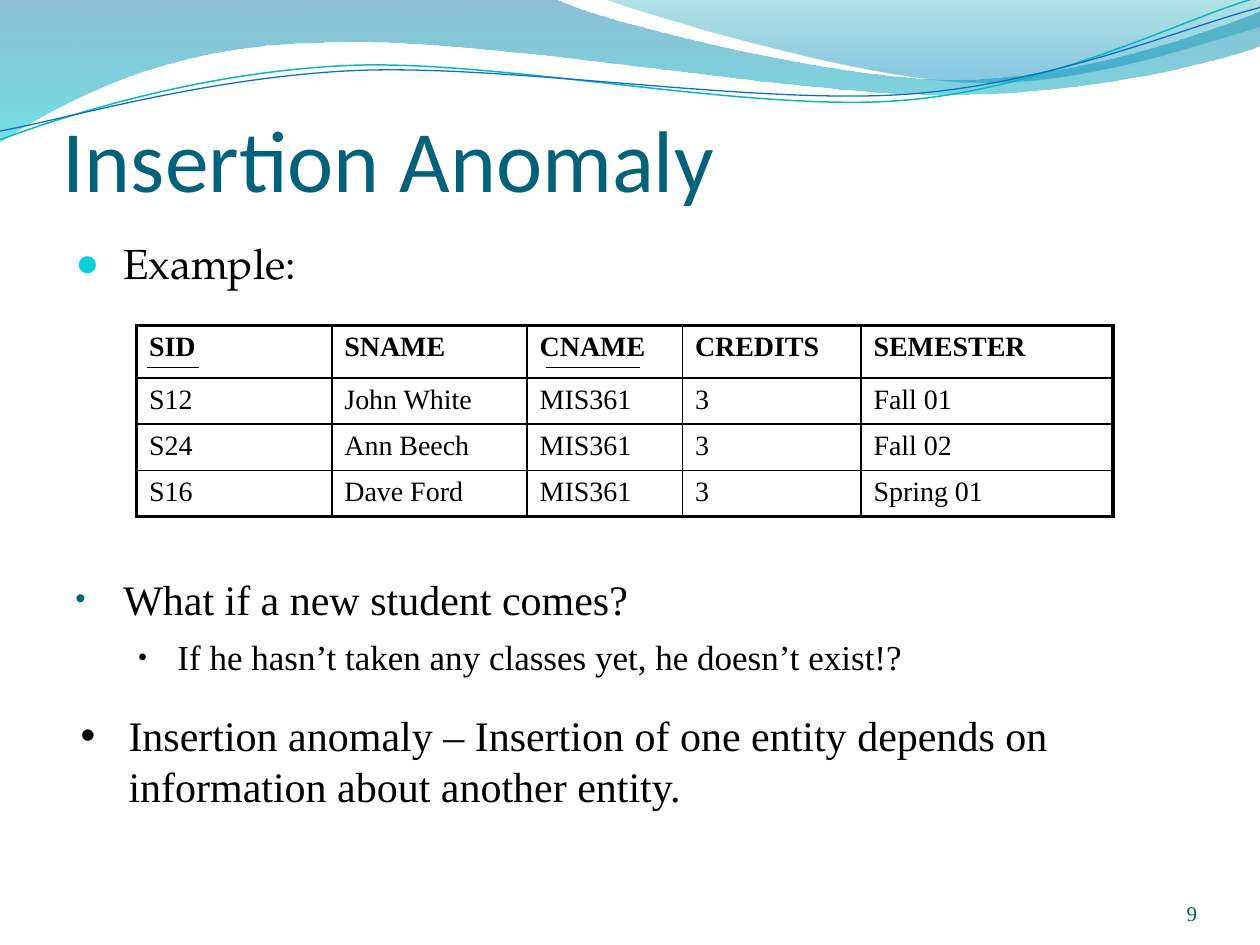
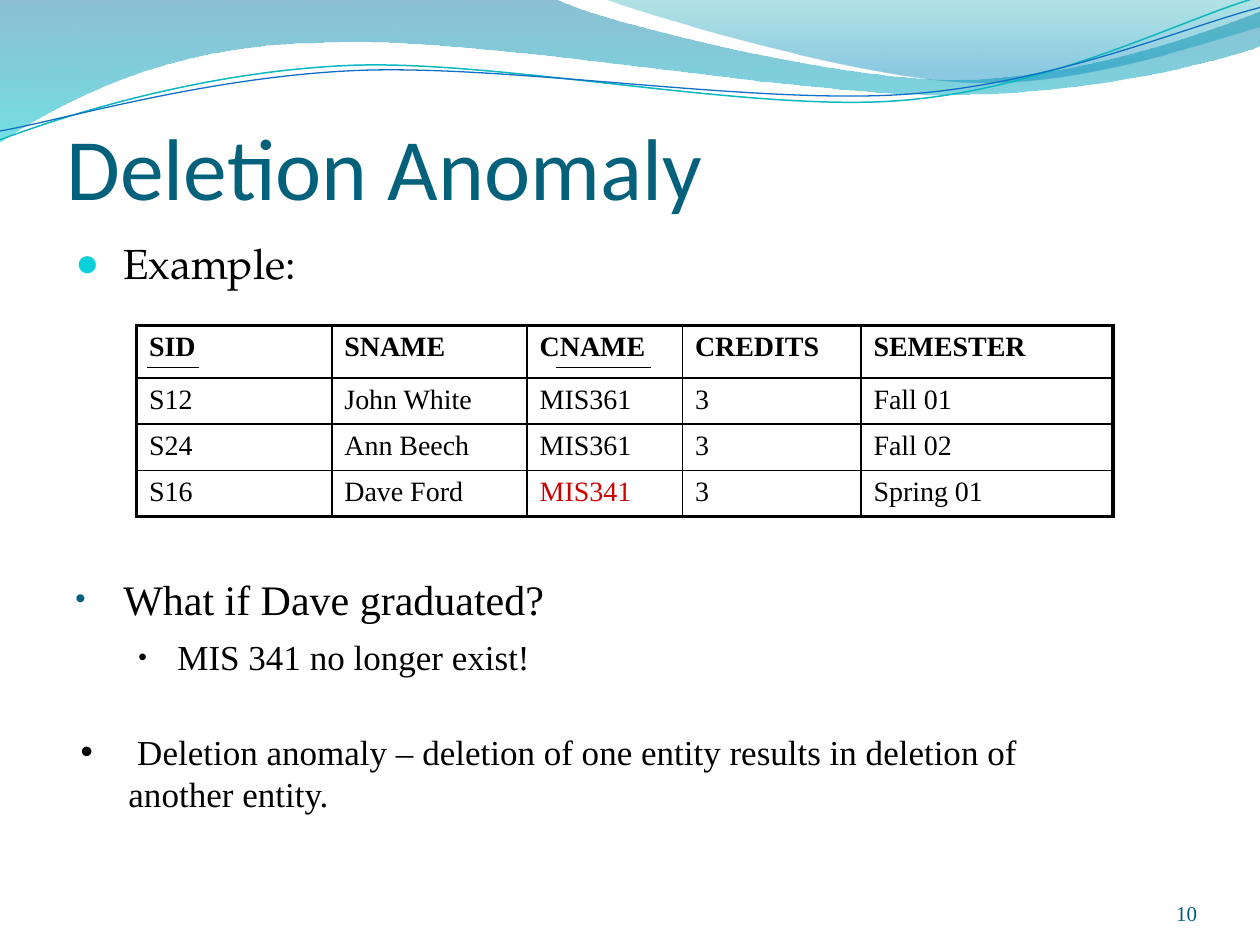
from dataclasses import dataclass

from lxml.etree import SubElement
from pptx import Presentation
from pptx.dml.color import RGBColor
from pptx.enum.shapes import MSO_CONNECTOR
from pptx.enum.text import MSO_ANCHOR, PP_ALIGN
from pptx.oxml.ns import qn
from pptx.util import Inches, Pt


@dataclass(frozen=True)
class Theme:
    title_font: str = "Calibri"
    example_font: str = "TeX Gyre Pagella"
    text_font: str = "Times New Roman"
    title_size: int = 50
    body_size: int = 24
    detail_size: int = 20
    table_size: int = 16
    number_size: int = 12
    ink: str = "000000"
    title: str = "04617B"
    number: str = "045C75"
    example_bullet: str = "0BD0D9"
    highlight: str = "CC0000"
    outer_border: float = 2.25
    inner_border: float = 1
    thin_line: float = 0.75


THEME = Theme()
SLIDE_WIDTH, SLIDE_HEIGHT = Inches(10), Inches(7.5)
CELL = SLIDE_WIDTH // 120
WAVE_COLUMN = SLIDE_WIDTH // 10
WAVE_STEPS = 1000

WIDE_WAVE = [
    (0, -0.01), (4.4, -0.01),
    (4.76, 0.17, 6.64, 0.63, 7.58, 0.63),
    (8.53, 0.63, 9.58, 0.26, 10, 0.09),
    (10.01, 0.36),
    (9.83, 0.44, 8.7, 0.76, 7.46, 0.75),
    (6.22, 0.75, 3.82, 0.28, 2.57, 0.34),
    (1.29, 0.35, 0.46, 0.83, -0.01, 1.13),
    (0, -0.01),
]
RIGHT_WAVE = [
    (4.79, -0.01),
    (5.09, 0.11, 6.82, 0.62, 7.69, 0.65),
    (8.56, 0.69, 9.61, 0.32, 10, 0.21),
    (10, 0), (4.79, -0.01),
]
TEAL_STRAND = [
    (0, 1.11),
    (0.48, 0.93, 1.58, 0.57, 2.77, 0.52),
    (3.95, 0.47, 5.93, 0.89, 7.13, 0.8),
    (8.33, 0.71, 9.38, 0.15, 9.98, -0.02),
]
BLUE_STRAND = [
    (0, 1.04),
    (0.47, 0.96, 1.64, 0.61, 2.83, 0.56),
    (4.03, 0.51, 5.97, 0.83, 7.17, 0.75),
    (8.36, 0.67, 9.41, 0.21, 10, 0.06),
]

TABLE_COLUMNS = [18.6, 18.6, 14.8, 17, 24]
TABLE_ROWS = [5, 4.4, 4.4, 4.4]
ENROLLMENTS = [
    ["SID", "SNAME", "CNAME", "CREDITS", "SEMESTER"],
    ["S12", "John White", "MIS361", "3", "Fall 01"],
    ["S24", "Ann Beech", "MIS361", "3", "Fall 02"],
    ["S16", "Dave Ford", "MIS361", "3", "Spring 01"],
]


def cells(count):
    return round(count * CELL)


def rgb(color):
    return RGBColor.from_string(color)


def bend_segments(shape, segments):
    lines = iter(list(shape.element.iter(qn("a:lnTo"))))
    for segment in segments:
        group = [next(lines) for _ in range(len(segment) // 2)]
        if len(group) == 3:
            outline = group[0].getparent()
            curve = SubElement(outline, qn("a:cubicBezTo"))
            group[0].addprevious(curve)
            for line in group:
                curve.append(line[0])
                outline.remove(line)


def add_outline(page, outline, close):
    points = [(segment[i] * WAVE_STEPS, segment[i + 1] * WAVE_STEPS)
              for segment in outline for i in range(0, len(segment), 2)]
    builder = page.shapes.build_freeform(*points[0], scale=WAVE_COLUMN / WAVE_STEPS)
    builder.add_line_segments(points[1:], close=close)
    shape = builder.convert_to_shape()
    bend_segments(shape, outline[1:])
    shape.shadow.inherit = False
    return shape


def add_wave(page, outline, stops):
    shape = add_outline(page, outline, True)
    shape.line.fill.background()
    shape.fill.gradient()
    shape.fill.gradient_angle = 270
    for stop, (position, color, _) in zip(shape.fill.gradient_stops, stops):
        stop.position = position
        stop.color.rgb = rgb(color)
    for element, (_, _, opacity) in zip(shape.element.iter(qn("a:srgbClr")), stops):
        SubElement(element, qn("a:alpha"), val=str(opacity * 1000))


def add_strand(page, outline, color, width):
    shape = add_outline(page, outline, False)
    shape.fill.background()
    shape.line.color.rgb = rgb(color)
    shape.line.width = Pt(width)


def add_bullet(para, symbol, margin, hanging, color, percent):
    properties = para._p.get_or_add_pPr()
    properties.set("marL", str(Inches(margin)))
    properties.set("indent", str(-Inches(hanging)))
    if color:
        holder = SubElement(properties, qn("a:buClr"))
        SubElement(holder, qn("a:srgbClr"), val=color)
    SubElement(properties, qn("a:buSzPct"), val=str(percent * 1000))
    SubElement(properties, qn("a:buFont"), typeface="Arial")
    SubElement(properties, qn("a:buChar"), char=symbol)


def write(para, text, *, size, font=THEME.text_font, color=THEME.ink, bold=False,
          align=PP_ALIGN.LEFT, before=0, symbol=None, margin=0.38, hanging=0.38,
          bullet_color=None, bullet_percent=100):
    para.alignment = align
    if before:
        para.space_before = Pt(before)
    if symbol:
        add_bullet(para, symbol, margin, hanging, bullet_color, bullet_percent)
    span = para.add_run()
    span.text = text
    span.font.size = Pt(size)
    span.font.name = font
    span.font.bold = bold
    span.font.color.rgb = rgb(color)


def add_box(page, left, top, width, height, insets=(0.1, 0.05, 0.1, 0.05),
            anchor=MSO_ANCHOR.TOP):
    box = page.shapes.add_textbox(*map(cells, (left, top, width, height)))
    frame = box.text_frame
    frame.word_wrap = True
    frame.vertical_anchor = anchor
    (frame.margin_left, frame.margin_top,
     frame.margin_right, frame.margin_bottom) = map(Inches, insets)
    return frame


def add_title(page, text, left, top, height):
    frame = add_box(page, left, top, 108, height, (0, 0.05, 0, 0), MSO_ANCHOR.BOTTOM)
    write(frame.paragraphs[0], text, size=THEME.title_size,
          font=THEME.title_font, color=THEME.title)


def add_example_label(page, height):
    frame = add_box(page, 6, 22, 111, height)
    write(frame.paragraphs[0], "Example:", size=THEME.body_size, font=THEME.example_font,
          symbol="●", bullet_color=THEME.example_bullet, bullet_percent=95)


def add_page_number(page, number):
    frame = add_box(page, 104, 83.4, 10, 4.8, (0, 0, 0, 0), MSO_ANCHOR.BOTTOM)
    write(frame.paragraphs[0], str(number), size=THEME.number_size,
          color=THEME.number, align=PP_ALIGN.RIGHT)


def set_borders(cell, outer_sides):
    properties = cell._tc.get_or_add_tcPr()
    for side in "LRTB":
        width = THEME.outer_border if side in outer_sides else THEME.inner_border
        border = SubElement(properties, qn(f"a:ln{side}"), w=str(Pt(width)))
        fill = SubElement(border, qn("a:solidFill"))
        SubElement(fill, qn("a:srgbClr"), val=THEME.ink)


def add_enrollment_table(page, changes):
    table = page.shapes.add_table(
        len(TABLE_ROWS), len(TABLE_COLUMNS), cells(13), cells(31),
        cells(sum(TABLE_COLUMNS)), cells(sum(TABLE_ROWS))).table
    table.first_row = table.horz_banding = False
    for column, width in zip(table.columns, TABLE_COLUMNS):
        column.width = cells(width)
    for row, height in zip(table.rows, TABLE_ROWS):
        row.height = cells(height)
    last_row, last_column = len(TABLE_ROWS) - 1, len(TABLE_COLUMNS) - 1
    for r, record in enumerate(ENROLLMENTS):
        for c, value in enumerate(record):
            cell = table.cell(r, c)
            edges = {"L": c == 0, "R": c == last_column, "T": r == 0, "B": r == last_row}
            set_borders(cell, [side for side, outer in edges.items() if outer])
            cell.fill.background()
            color = THEME.highlight if (r, c) in changes else THEME.ink
            write(cell.text_frame.paragraphs[0], changes.get((r, c), value),
                  size=THEME.table_size, color=color, bold=r == 0)


def add_key_underline(page, start, length):
    line = page.shapes.add_connector(
        MSO_CONNECTOR.STRAIGHT, cells(start), cells(35), cells(start + length), cells(35))
    line.line.color.rgb = rgb(THEME.ink)
    line.line.width = Pt(THEME.thin_line)
    SubElement(line.element.spPr, qn("a:effectLst"))


def add_question(page, question, answer, height):
    frame = add_box(page, 6, 54, 111, height)
    write(frame.paragraphs[0], question, size=THEME.body_size, symbol="•",
          bullet_color=THEME.title, bullet_percent=70)
    para = frame.add_paragraph()
    para.level = 1
    write(para, answer, size=THEME.detail_size, before=7, symbol="•",
          margin=0.81, hanging=0.31, bullet_percent=70)


def add_definition(page, text, top, width, height, size):
    frame = add_box(page, 6.5, top, width, height)
    write(frame.paragraphs[0], text, size=size, symbol="•")


def add_page(deck, number, example_height):
    page = deck.slides.add_slide(deck.slide_layouts[6])
    add_wave(page, WIDE_WAVE, [(0, "0074A1", 45), (1, "00C6CF", 55)])
    add_wave(page, RIGHT_WAVE, [(0, "00A1A9", 30), (0.8, "008BBF", 45)])
    add_strand(page, TEAL_STRAND, "0AB8BF", 0.85)
    add_strand(page, BLUE_STRAND, "0F6FC6", THEME.thin_line)
    add_example_label(page, example_height)
    add_page_number(page, number)
    return page


def add_keyed_table(page, course_key_start, changes):
    add_enrollment_table(page, changes)
    add_key_underline(page, 14, 5)
    add_key_underline(page, course_key_start, 9)


def add_insertion_page(deck):
    page = add_page(deck, 9, 8)
    add_title(page, "Insertion Anomaly", 6, 10.25, 9.75)
    add_keyed_table(page, 52, {})
    add_question(page, "What if a new student comes?",
                 "If he hasn’t taken any classes yet, he doesn’t exist!?", 11)
    add_definition(page, "Insertion anomaly – Insertion of one entity depends on "
                   "information about another entity.", 67, 100.5, 11, THEME.body_size)


def add_deletion_page(deck):
    page = add_page(deck, 10, 9)
    add_title(page, "Deletion Anomaly", 6.35, 12, 8.8)
    add_keyed_table(page, 53, {(3, 2): "MIS341"})
    add_question(page, "What if Dave graduated?", "MIS 341 no longer exist!", 14)
    add_definition(page, " Deletion anomaly – deletion of one entity results in deletion "
                   "of another entity.", 69, 102, 9.2, THEME.detail_size)


def main():
    deck = Presentation()
    deck.slide_width, deck.slide_height = SLIDE_WIDTH, SLIDE_HEIGHT
    add_insertion_page(deck)
    add_deletion_page(deck)
    deck.save("out.pptx")


if __name__ == "__main__":
    main()
